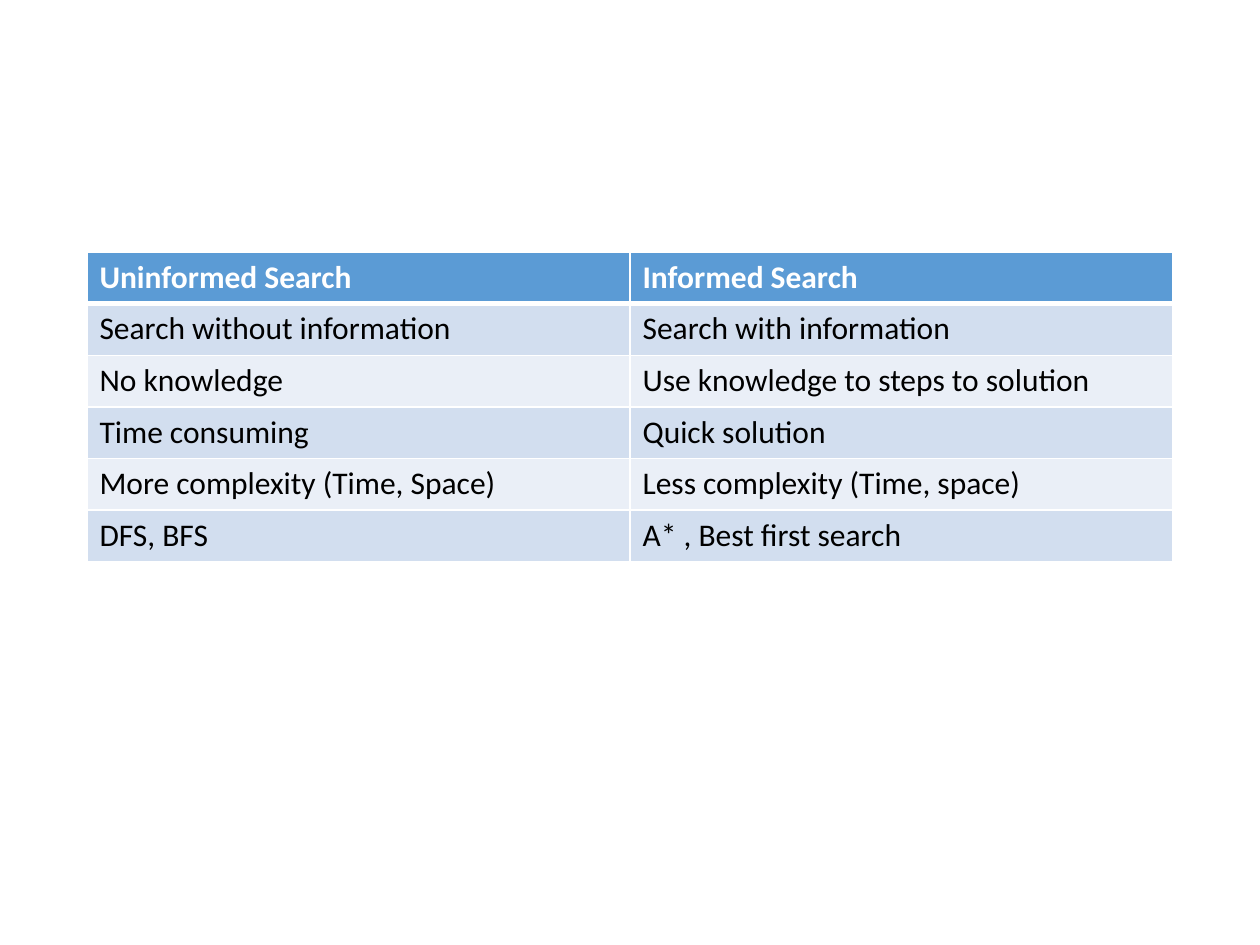
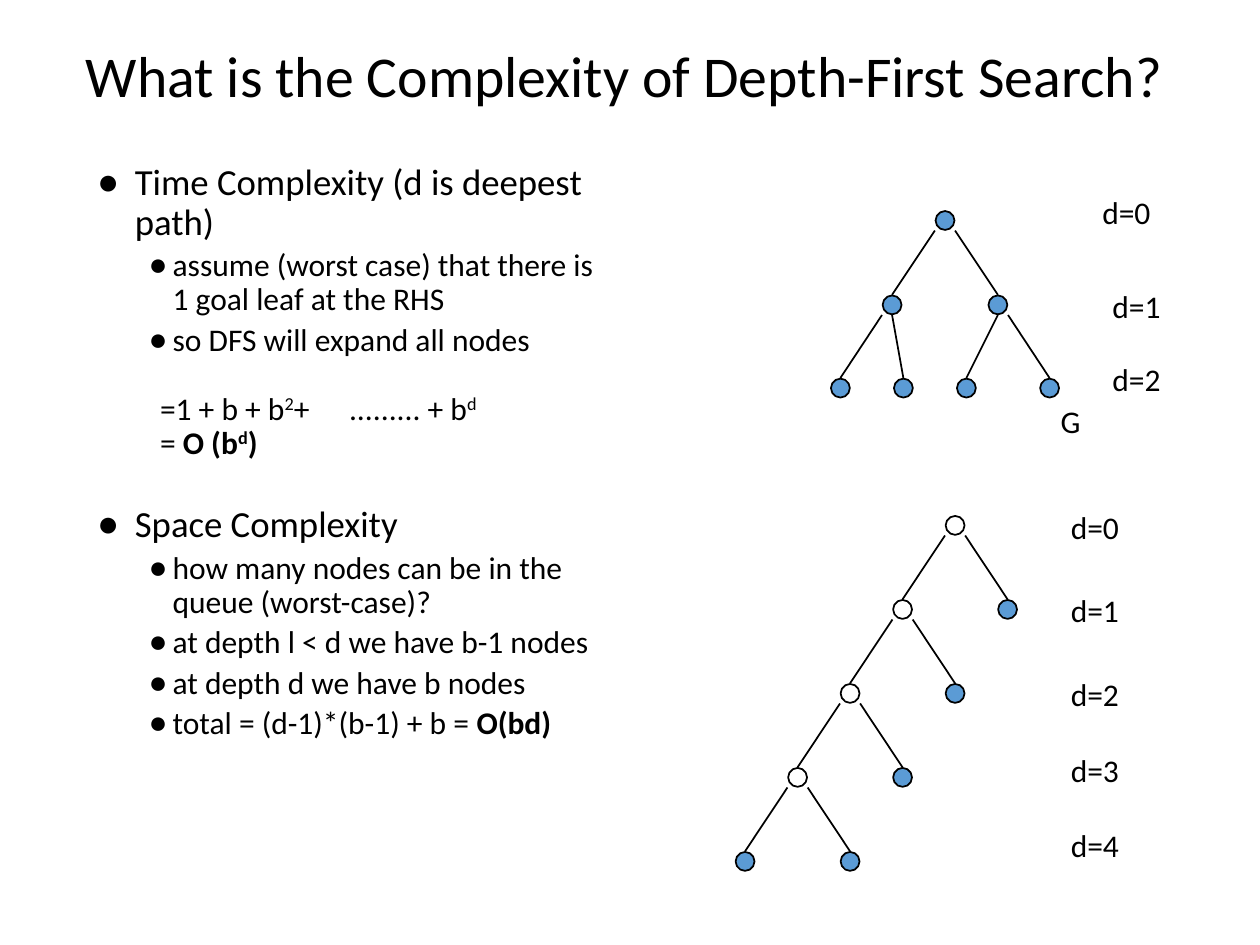
from dataclasses import dataclass

from lxml import etree
from pptx import Presentation
from pptx import util as u
from pptx.dml.color import RGBColor
from pptx.enum import shapes, text
from pptx.oxml import ns


@dataclass(frozen=True)
class Theme:
    """Colours, font and type sizes shared by the slides."""
    font: str = "Calibri"
    ink: str = "000000"
    paper: str = "FFFFFF"
    accent: str = "5B9BD5"
    bands: tuple = ("D2DEEF", "EAEFF7")
    title: float = 33
    topic: float = 21
    body: float = 18


THEME = Theme()
NODE_SIZE = 0.15
EDGE_GAP = 0.08

SEARCH_COMPARISON = [
    ("Uninformed Search", "Informed Search"),
    ("Search without information", "Search with information"),
    ("No knowledge", "Use knowledge to steps to solution"),
    ("Time consuming", "Quick solution"),
    ("More complexity (Time, Space)", "Less complexity (Time, space)"),
    ("DFS, BFS", "A* , Best first search"),
]

TOPIC = dict(size=THEME.topic, indent=(0.3, -0.3), before=5.8)
POINT = dict(size=THEME.body, indent=(0.6, -0.19), before=3.7, level=1)
FORMULA = dict(size=THEME.body, indent=(0, 0), bullet=None, level=1)

COMPLEXITY = [
    (TOPIC | {"before": 0}, [("Time Complexity (d is deepest path)", "")]),
    (POINT, [("assume (worst case) that there is 1 goal leaf at the RHS", "")]),
    (POINT, [("so DFS will expand all nodes", "")]),
    (FORMULA | {"before": 19.8, "tabs": (0.91, 2.33)},
     [("\t=1 + b + b", ""), ("2", "^"), ("+\t......... + b", ""), ("d", "^")]),
    (FORMULA | {"before": 0, "tabs": (0.94,)},
     [("\t= ", ""), ("O (b", "b"), ("d", "b^"), (")", "b")]),
    (TOPIC | {"before": 25.6}, [("Space Complexity", "")]),
    (POINT, [("how many nodes can be in the queue (worst-case)?", "")]),
    (POINT, [("at depth l < d we have b-1 nodes", "")]),
    (POINT, [("at depth d we have b nodes", "")]),
    (POINT, [("total = (d-1)*(b-1) + b = ", ""), ("O(bd)", "b")]),
]

DEPTH_LABELS = [
    (8.65, 1.48, ["d=0"]), (8.73, 2.23, ["d=1"]), (8.73, 2.81, ["d=2"]),
    (8.32, 3.14, ["G"]), (8.4, 3.98, ["d=0"]), (8.4, 4.64, ["d=1"]),
    (8.4, 5.31, ["d=2", "d=3", "d=4"]),
]


def rgb(value):
    """Turn a hex string into a colour."""
    return RGBColor.from_string(value)


def set_all(target, values):
    """Set each attribute named in a dict."""
    for name, value in values.items():
        setattr(target, name, value)


def add_run(paragraph, words, size, color=THEME.ink, style=""):
    """Add a run; style b is bold and ^ is superscript."""
    run = paragraph.add_run()
    run.text = words
    set_all(run.font, {"name": THEME.font, "size": u.Pt(size), "bold": "b" in style})
    run.font.color.rgb = rgb(color)
    if "^" in style:
        run._r.get_or_add_rPr().set("baseline", "30000")


def place(shape, left, top, width, height):
    """Move and size a shape in inches."""
    box = {"left": left, "top": top, "width": width, "height": height}
    set_all(shape, {side: u.Inches(length) for side, length in box.items()})


def add_title(slide, words):
    """Fill the title placeholder."""
    title = slide.shapes.title
    place(title, 0.58, 0, 9, 1.25)
    set_all(title.text_frame, {"vertical_anchor": text.MSO_ANCHOR.MIDDLE,
                               "auto_size": text.MSO_AUTO_SIZE.NONE})
    heading = title.text_frame.paragraphs[0]
    set_all(heading, {"alignment": text.PP_ALIGN.LEFT, "line_spacing": 0.9})
    add_run(heading, words, THEME.title)


def format_item(paragraph, size, indent, before, level=0, bullet="●", tabs=()):
    """Give a paragraph its indent, bullet, tab stops and spacing."""
    properties = paragraph._p.get_or_add_pPr()
    for name, length in zip(("marL", "indent"), indent):
        properties.set(name, str(u.Inches(length)))
    if bullet:
        etree.SubElement(properties, ns.qn("a:buChar"), char=bullet)
    else:
        etree.SubElement(properties, ns.qn("a:buNone"))
    if tabs:
        stops = etree.SubElement(properties, ns.qn("a:tabLst"))
        for stop in tabs:
            etree.SubElement(stops, ns.qn("a:tab"), pos=str(u.Inches(stop)), algn="l")
    set_all(paragraph, {"level": level, "line_spacing": 0.9,
                        "space_before": u.Pt(before)})
    paragraph.font.size = u.Pt(size)


def add_list(slide, items):
    """Fill the body placeholder with formatted items."""
    body = slide.placeholders[1]
    place(body, 0.67, 1.25, 4.25, 5.42)
    frame = body.text_frame
    frame.auto_size = text.MSO_AUTO_SIZE.NONE
    for number, (layout, runs) in enumerate(items):
        item = frame.add_paragraph() if number else frame.paragraphs[0]
        format_item(item, **layout)
        for words, style in runs:
            add_run(item, words, layout["size"], style=style)


def add_label(slide, left, top, lines):
    """Add a column of depth labels."""
    frame = slide.shapes.add_textbox(
        u.Inches(left), u.Inches(top), u.Inches(0.85),
        u.Inches(0.4 + 0.6 * (len(lines) - 1))).text_frame
    frame.word_wrap = True
    for number, words in enumerate(lines):
        line = frame.add_paragraph() if number else frame.paragraphs[0]
        line.space_before = u.Pt(21.5 if number else 0)
        add_run(line, words, THEME.body)


def add_node(slide, center, filled=True):
    """Draw a tree node around its centre."""
    left, top = (u.Inches(c - NODE_SIZE / 2) for c in center)
    node = slide.shapes.add_shape(shapes.MSO_SHAPE.OVAL, left, top,
                                  u.Inches(NODE_SIZE), u.Inches(NODE_SIZE))
    node.shadow.inherit = False
    if filled:
        node.fill.solid()
        node.fill.fore_color.rgb = rgb(THEME.accent)
    else:
        node.fill.background()
    node.line.color.rgb = rgb(THEME.ink)
    node.line.width = u.Pt(1)


def add_edge(slide, parent, child):
    """Join a parent to a child, leaving wide branches from the side."""
    across = child[0] - parent[0]
    lean = 0 if abs(across) < 0.3 else EDGE_GAP if across > 0 else -EDGE_GAP
    ends = (parent[0] + lean, parent[1] + EDGE_GAP, child[0], child[1] - EDGE_GAP)
    edge = slide.shapes.add_connector(shapes.MSO_CONNECTOR.STRAIGHT,
                                      *(u.Inches(end) for end in ends))
    edge.line.color.rgb = rgb(THEME.ink)
    edge.line.width = u.Pt(1)
    etree.SubElement(edge._element.spPr, ns.qn("a:effectLst"))


def add_time_tree(slide):
    """Draw the fully expanded tree of depth two."""
    root = (7.5, 1.75)
    branches = {(7.08, 2.42): (6.67, 7.17), (7.92, 2.42): (7.67, 8.33)}
    add_node(slide, root)
    for branch, leaves in branches.items():
        add_edge(slide, root, branch)
        add_node(slide, branch)
        for x in leaves:
            add_edge(slide, branch, (x, 3.08))
            add_node(slide, (x, 3.08))


def add_space_tree(slide, depth=4):
    """Draw the leftmost descent with its queued siblings."""
    step, drop = 5 / 12, 2 / 3
    parent = (7.58, 4.17)
    add_node(slide, parent, filled=False)
    for level in range(1, depth + 1):
        left, right = ((parent[0] + dx, parent[1] + drop) for dx in (-step, step))
        for child, queued in ((left, level == depth), (right, True)):
            add_edge(slide, parent, child)
            add_node(slide, child, queued)
        parent = left


def add_borders(cell, is_header):
    """Draw white borders, with a heavy rule under the header."""
    properties = cell._tc.get_or_add_tcPr()
    for side in ("lnL", "lnR", "lnT", "lnB"):
        width = u.Pt(3 if is_header and side == "lnB" else 1)
        border = etree.SubElement(properties, ns.qn(f"a:{side}"), w=str(width))
        fill = etree.SubElement(border, ns.qn("a:solidFill"))
        etree.SubElement(fill, ns.qn("a:srgbClr"), val=THEME.paper)


def add_comparison(slide, rows):
    """Add the banded two-column table."""
    table = slide.shapes.add_table(
        len(rows), len(rows[0]), u.Inches(0.69), u.Inches(2), u.Inches(8.62),
        u.Inches(0.41 * len(rows))).table
    for number, row in enumerate(rows):
        is_header = number == 0
        fill = THEME.accent if is_header else THEME.bands[(number - 1) % 2]
        color = THEME.paper if is_header else THEME.ink
        for column, words in enumerate(row):
            cell = table.cell(number, column)
            add_borders(cell, is_header)
            cell.fill.solid()
            cell.fill.fore_color.rgb = rgb(fill)
            add_run(cell.text_frame.paragraphs[0], words, THEME.body, color,
                    "b" if is_header else "")


def main():
    """Build the two slides on search and its complexity."""
    deck = Presentation()
    set_all(deck, {"slide_width": u.Inches(10), "slide_height": u.Inches(7.5)})

    comparison = deck.slides.add_slide(deck.slide_layouts[6])
    add_comparison(comparison, SEARCH_COMPARISON)

    complexity = deck.slides.add_slide(deck.slide_layouts[1])
    add_title(complexity, "What is the Complexity of Depth-First Search?")
    add_list(complexity, COMPLEXITY)
    add_time_tree(complexity)
    add_space_tree(complexity)
    for label in DEPTH_LABELS:
        add_label(complexity, *label)

    deck.save("out.pptx")


if __name__ == "__main__":
    main()
